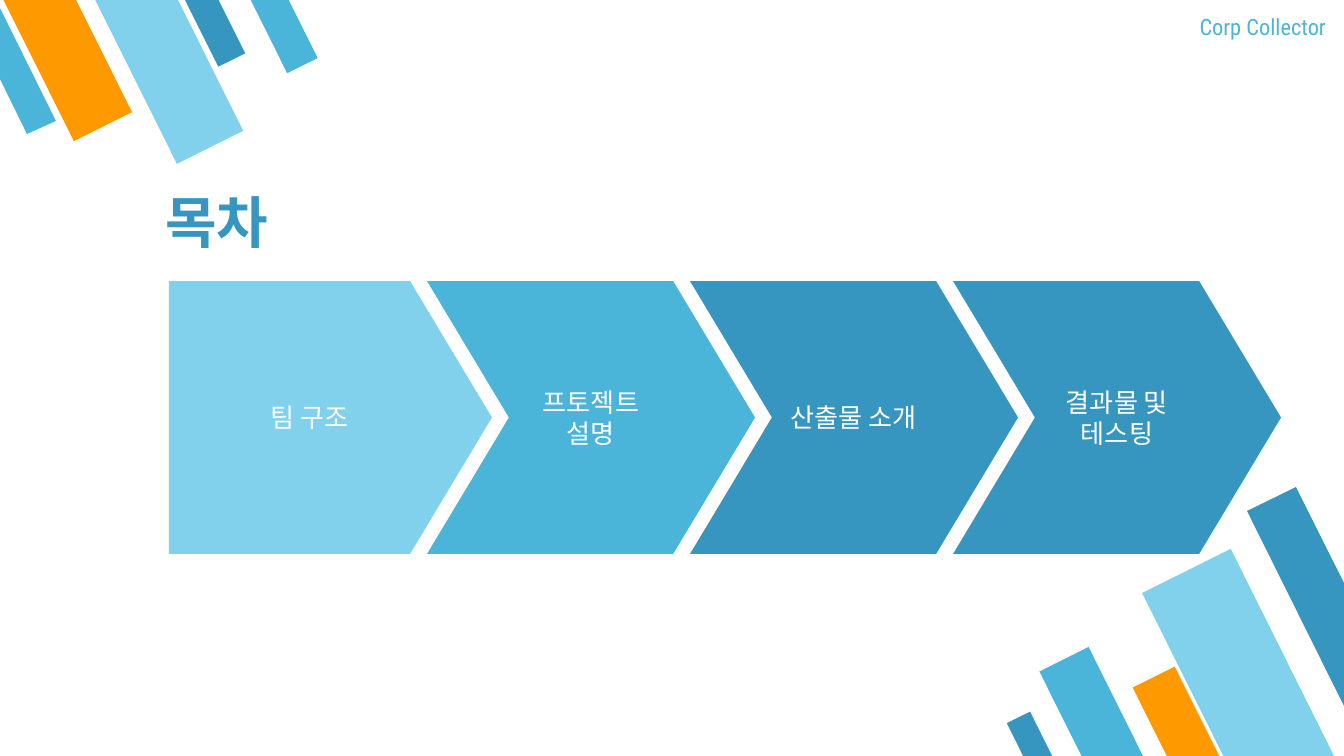
from lxml.etree import SubElement
from pptx import Presentation
from pptx.dml.color import RGBColor
from pptx.enum.shapes import MSO_SHAPE
from pptx.enum.text import MSO_ANCHOR, PP_ALIGN
from pptx.oxml.ns import qn
from pptx.util import Pt

EMU_PER_PX = 9144000 / 1344

WHITE = RGBColor(0xFF, 0xFF, 0xFF)
PALE = RGBColor(0x81, 0xD1, 0xEC)
SKY = RGBColor(0x4B, 0xB5, 0xD9)
DEEP = RGBColor(0x37, 0x96, 0xBF)
ORANGE = RGBColor(0xFF, 0x99, 0x00)

KOREAN = "Noto Sans CJK KR"
LATIN = "Roboto Condensed"

# Slanted bars: left, top, width, height, colour
TOP_BARS = [
    (200, -11, 30, 75, DEEP),
    (35, -24, 65, 159, ORANGE),
    (132, -27, 74, 184, PALE),
    (267, -13, 34, 83, SKY),
]
BOTTOM_BARS = [
    (1067, 652, 55, 137, SKY),
    (1192, 558, 99, 247, PALE),
    (1156, 671, 47, 116, ORANGE),
    (1020, 714, 26, 65, DEEP),
]

# Bars cut off by the slide edge
LEFT_EDGE_BAR = [(27, 134), (56, 121), (0, 8), (0, 79)]
RIGHT_EDGE_BAR = [(1296, 487), (1247, 511), (1344, 706), (1344, 583)]

# Agenda steps after the first
LATER_STEPS = [("프토젝트 설명", SKY), ("산출물 소개", DEEP), ("결과물 및 테스팅", DEEP)]
STEP_TOP, STEP_HEIGHT = 281, 273
CHEVRON_LEFT, CHEVRON_WIDTH, CHEVRON_PITCH = 427, 328, 263


def px(value):
    return round(value * EMU_PER_PX)


def paint(shape, color):
    shape.shadow.inherit = False
    shape.fill.solid()
    shape.fill.fore_color.rgb = color
    shape.line.fill.background()


def write(shape, text, size, font, color, align, anchor, bold=False):
    frame = shape.text_frame
    frame.word_wrap = True
    frame.vertical_anchor = anchor
    frame.margin_left = frame.margin_right = px(13)
    frame.margin_top = frame.margin_bottom = px(13)
    paragraph = frame.paragraphs[0]
    paragraph.alignment = align
    run = paragraph.add_run()
    run.text = text
    run.font.size = Pt(size)
    run.font.bold = bold
    run.font.color.rgb = color
    run.font.name = font
    # Hangul takes the East Asian typeface
    SubElement(run.font._element, qn("a:ea"), typeface=font)


def add_bar(shapes, left, top, width, height, color, rotation):
    bar = shapes.add_shape(MSO_SHAPE.FLOWCHART_MANUAL_INPUT,
                           px(left), px(top), px(width), px(height))
    paint(bar, color)
    bar.rotation = rotation
    bar._element.spPr.xfrm.set("flipH", "1")


def add_edge_bar(shapes, corners, color):
    start, *others = [(px(x), px(y)) for x, y in corners]
    builder = shapes.build_freeform(*start)
    builder.add_line_segments(others, close=True)
    paint(builder.convert_to_shape(), color)


def add_step(shapes, kind, left, width, label, color):
    step = shapes.add_shape(kind, px(left), px(STEP_TOP), px(width), px(STEP_HEIGHT))
    step.adjustments[0] = 0.3
    paint(step, color)
    write(step, label, 14, KOREAN, WHITE, PP_ALIGN.CENTER, MSO_ANCHOR.MIDDLE)


def add_label(shapes, left, top, width, height, *style, **options):
    box = shapes.add_textbox(px(left), px(top), px(width), px(height))
    write(box, *style, **options)


def main():
    deck = Presentation()
    deck.slide_width, deck.slide_height = px(1344), px(756)
    shapes = deck.slides.add_slide(deck.slide_layouts[6]).shapes

    # Corner decorations
    for bar in TOP_BARS:
        add_bar(shapes, *bar, rotation=333.5)
    add_edge_bar(shapes, LEFT_EDGE_BAR, SKY)
    for bar in BOTTOM_BARS:
        add_bar(shapes, *bar, rotation=153.5)
    add_edge_bar(shapes, RIGHT_EDGE_BAR, DEEP)

    # Title
    add_label(shapes, 152, 169, 847, 99, "목차", 30, KOREAN, DEEP,
              PP_ALIGN.LEFT, MSO_ANCHOR.BOTTOM, bold=True)

    # Agenda arrows
    add_step(shapes, MSO_SHAPE.PENTAGON, 169, 323, "팀 구조", PALE)
    for index, (label, color) in enumerate(LATER_STEPS):
        add_step(shapes, MSO_SHAPE.CHEVRON, CHEVRON_LEFT + index * CHEVRON_PITCH,
                 CHEVRON_WIDTH, label, color)

    # Project name
    add_label(shapes, 1171, 0, 168, 58, "Corp Collector", 12, LATIN, SKY,
              PP_ALIGN.RIGHT, MSO_ANCHOR.TOP)

    deck.save("out.pptx")


if __name__ == "__main__":
    main()
